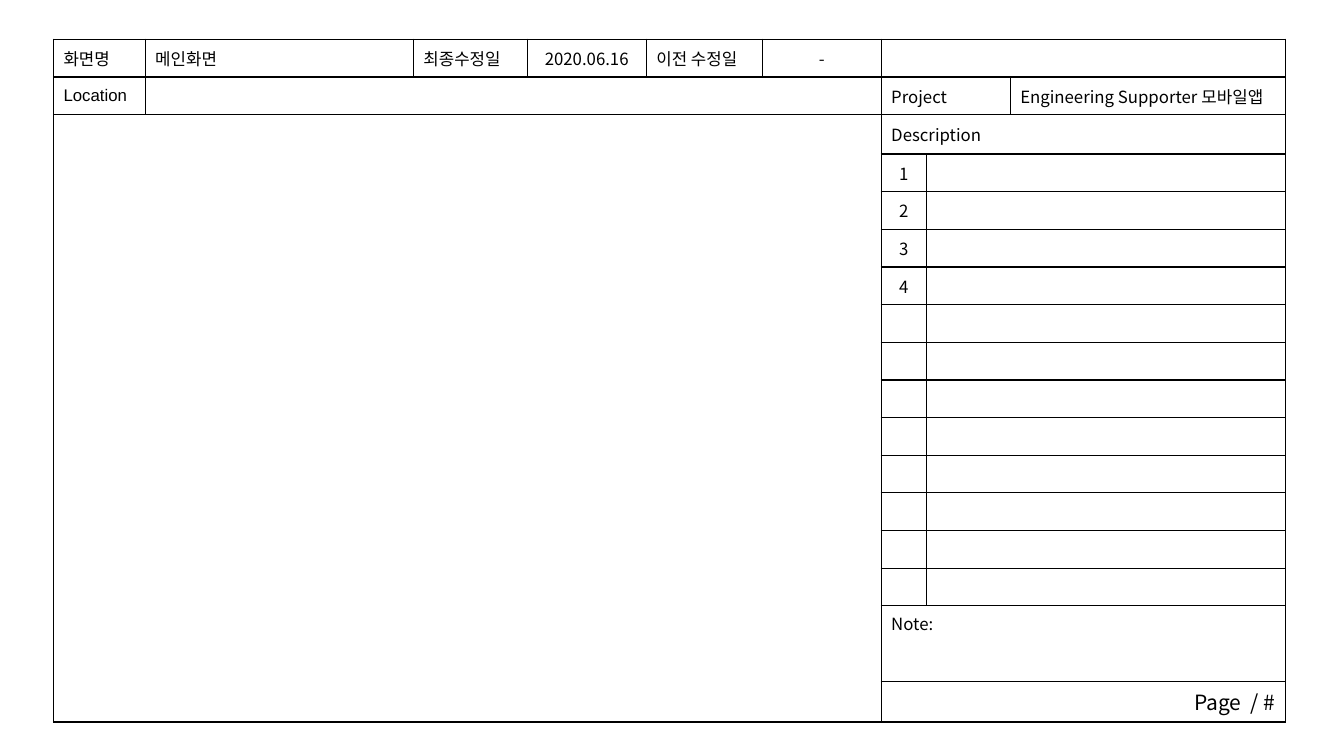
from lxml.etree import SubElement
from pptx import Presentation
from pptx.dml.color import RGBColor
from pptx.enum.text import MSO_ANCHOR, PP_ALIGN
from pptx.oxml.ns import qn
from pptx.util import Inches, Pt

SANS = "Noto Sans CJK KR"
BLACK, WHITE = "000000", "FFFFFF"
COLUMNS = [0.91, 2.66, 1.13, 1.18, 1.15, 1.18, 0.45, 0.83, 2.73]
ROW_COUNT, TITLE_ROW, NOTE_ROW = 17, 2, 15
SIDE = 6  # first column of the description panel
ITEM_ROWS = range(TITLE_ROW + 1, NOTE_ROW)
LEFT, CENTER, RIGHT = PP_ALIGN.LEFT, PP_ALIGN.CENTER, PP_ALIGN.RIGHT


def color(code):
    return RGBColor.from_string(code)


def style_cell(cell):
    """Black one-point borders, white fill and a small size for empty cells."""
    properties = cell._tc.get_or_add_tcPr()
    for side in ("lnL", "lnR", "lnT", "lnB"):
        line = SubElement(properties, qn(f"a:{side}"), w=str(Pt(1)))
        SubElement(SubElement(line, qn("a:solidFill")), qn("a:srgbClr"), val=BLACK)
    cell.fill.solid()
    cell.fill.fore_color.rgb = color(WHITE)
    para = cell.text_frame.paragraphs[0]
    SubElement(para._p, qn("a:endParaRPr"), sz="1200")


def write(cell, text, align=LEFT, font=SANS, size=12, anchor=MSO_ANCHOR.MIDDLE):
    cell.vertical_anchor = anchor
    para = cell.text_frame.paragraphs[0]
    para.alignment = align
    span = para.add_run()
    span.text = text
    span.font.size = Pt(size)
    span.font.color.rgb = color(BLACK)
    span.font.name = font
    SubElement(span._r.get_or_add_rPr(), qn("a:ea"), typeface=SANS)


def add_grid(page, box):
    left, top, width, height = box
    frame = page.shapes.add_table(ROW_COUNT, len(COLUMNS), Inches(left), Inches(top),
                                  Inches(width), Inches(height))
    table = frame.table
    table.first_row = table.horz_banding = False
    for column, size in zip(table.columns, COLUMNS):
        column.width = Inches(size)

    # The title and note rows differ; the others share the rest equally
    special = {TITLE_ROW: 0.39, NOTE_ROW: 0.75}
    regular = (height - sum(special.values())) / (ROW_COUNT - len(special))
    for index, row in enumerate(table.rows):
        row.height = Inches(special.get(index, regular))
        for cell in row.cells:
            style_cell(cell)
    return table


def fill_header(table):
    entries = [("화면명", LEFT, "Arial"), ("메인화면", LEFT, SANS),
               ("최종수정일", LEFT, SANS), ("2020.06.16", CENTER, SANS),
               ("이전 수정일", LEFT, SANS), ("-", CENTER, SANS)]
    for column, (text, align, font) in enumerate(entries):
        write(table.cell(0, column), text, align, font)
    write(table.cell(1, 0), "Location", font="Arial")
    table.cell(1, 1).merge(table.cell(1, SIDE - 1))


def fill_canvas(table):
    table.cell(TITLE_ROW, 0).merge(table.cell(ROW_COUNT - 1, SIDE - 1))


def fill_description(table):
    last = len(COLUMNS) - 1
    for row in (0, TITLE_ROW, NOTE_ROW, NOTE_ROW + 1):
        table.cell(row, SIDE).merge(table.cell(row, last))
    table.cell(1, SIDE).merge(table.cell(1, SIDE + 1))
    write(table.cell(1, SIDE), "Project")
    write(table.cell(1, last), "Engineering Supporter 모바일앱")
    write(table.cell(TITLE_ROW, SIDE), "Description")

    # Item lines, the first four numbered
    for number, row in enumerate(ITEM_ROWS, start=1):
        table.cell(row, SIDE + 1).merge(table.cell(row, last))
        if number <= 4:
            write(table.cell(row, SIDE), str(number), CENTER)

    # Note and page number
    write(table.cell(NOTE_ROW, SIDE), "Note:", anchor=MSO_ANCHOR.TOP)
    write(table.cell(NOTE_ROW + 1, SIDE), "Page  / #", RIGHT, size=15,
          anchor=MSO_ANCHOR.TOP)


def build_screen_page(deck, box):
    page = deck.slides.add_slide(deck.slide_layouts[6])
    table = add_grid(page, box)
    fill_header(table)
    fill_canvas(table)
    fill_description(table)


deck = Presentation()
deck.slide_width, deck.slide_height = Inches(13.33), Inches(7.5)
build_screen_page(deck, (0.53, 0.39, 12.22, 6.75))
deck.save("out.pptx")
